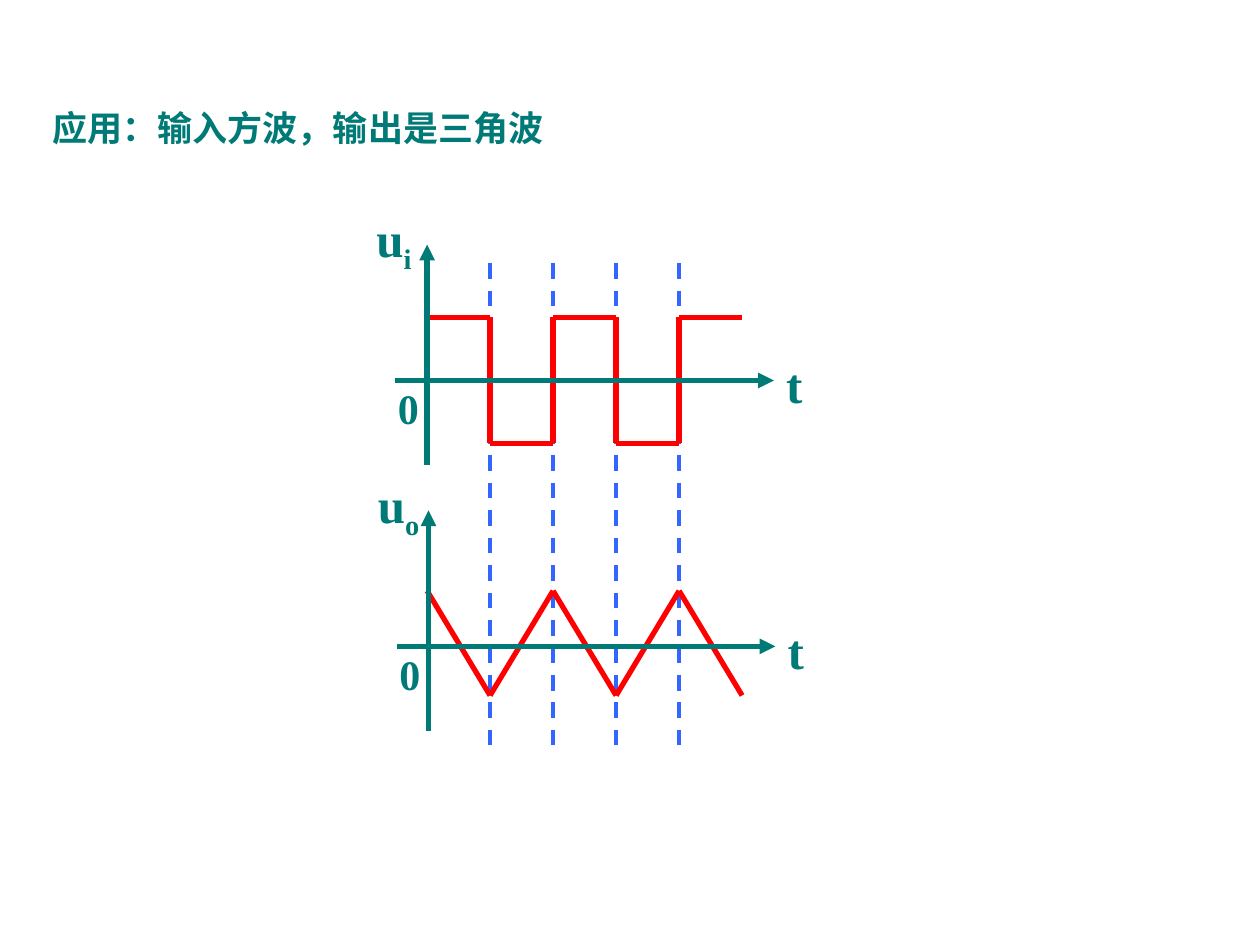
from itertools import pairwise

from lxml.etree import SubElement
from pptx import Presentation
from pptx.dml.color import RGBColor
from pptx.enum.dml import MSO_LINE_DASH_STYLE as DASH
from pptx.enum.shapes import MSO_CONNECTOR as CONNECTOR
from pptx.oxml.ns import qn
from pptx.util import Cm, Pt

TEAL = RGBColor(0x00, 0x7A, 0x77)
BLUE = RGBColor(0x33, 0x66, 0xFF)
RED = RGBColor(0xFF, 0x00, 0x00)

X0 = 8.61  # time zero, cm
HALF = 1.27  # half a period, cm
TIMES = [X0 + i * HALF for i in range(6)]
SQUARE_HIGH, SQUARE_LOW = 6.4, 8.94
PEAK, TROUGH = 11.91, 14.02


class Deck:
    """Holds the text style and the slide being drawn; lengths in cm."""

    font = "Times New Roman"
    color = TEAL

    def __init__(self):
        self.prs = Presentation()
        self.prs.slide_width, self.prs.slide_height = Cm(25.4), Cm(19.05)
        self.s = self.prs.slides.add_slide(self.prs.slide_layouts[6])

    def text(self, x, y, w, h, text, size, sub=""):
        """Add a bold label, with an optional subscript."""
        tf = self.s.shapes.add_textbox(Cm(x), Cm(y), Cm(w), Cm(h)).text_frame
        tf.word_wrap = True
        p = tf.paragraphs[0]
        p.add_run().text = text
        if sub:
            r = p.add_run()
            r.text = sub
            r._r.get_or_add_rPr().set("baseline", "-25000")
        f = p.font
        f.name, f.size, f.bold = self.font, Pt(size), True
        f.color.rgb = self.color

    def line(self, start, end, color, width=3, dash=None, arrow=False):
        c = self.s.shapes.add_connector(
            CONNECTOR.STRAIGHT, *map(Cm, (*start, *end)))
        c.line.color.rgb = color
        c.line.width = Pt(width)
        if dash:
            c.line.dash_style = dash
        if arrow:
            SubElement(c.line._get_or_add_ln(), qn("a:tailEnd"), type="triangle")
        SubElement(c._element.spPr, qn("a:effectLst"))

    def wave(self, points):
        for start, end in pairwise(points):
            self.line(start, end, RED)

    def axes(self, x, y, sub):
        """Draw labelled axes whose origin is at x, y."""
        self.text(x + 6.99, y - 0.64, 1.07, 1.45, "t", 28)
        self.line((x, y + 1.7), (x, y - 2.74), TEAL, arrow=True)
        self.line((x - 0.64, y), (x + 6.99, y), TEAL, arrow=True)
        self.text(x - 1.27, y - 3.59, 1.63, 1.6, "u", 28, sub)
        self.text(x - 0.84, y - 0.09, 1.07, 1.27, "0", 24)


def main():
    deck = Deck()
    deck.text(0.81, 2.03, 20.12, 1.12, "应用：输入方波，输出是三角波", 20)

    for x in TIMES[1:5]:
        deck.line((x, 5.31), (x, 15.19), BLUE, 2.25, DASH.DASH)

    square = []
    for i, (left, right) in enumerate(pairwise(TIMES)):
        y = SQUARE_LOW if i % 2 else SQUARE_HIGH
        square += [(left, y), (right, y)]
    deck.wave(square)
    deck.axes(X0, 7.67, "i")

    deck.wave([(x, TROUGH if i % 2 else PEAK) for i, x in enumerate(TIMES)])
    deck.axes(X0 + 0.03, 13.03, "o")

    deck.prs.save("out.pptx")


if __name__ == "__main__":
    main()
